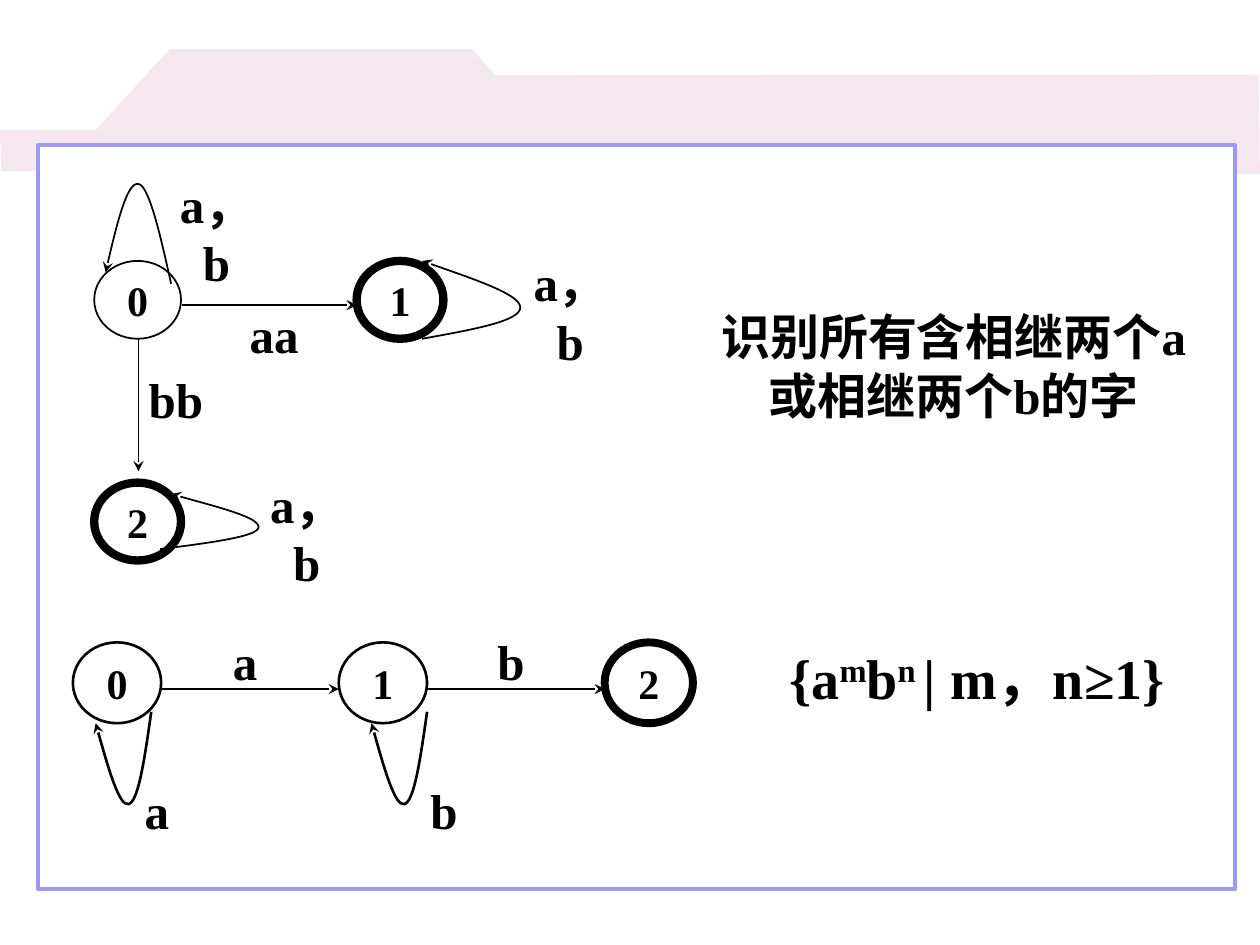
"""Build a slide with two finite automata and the languages they recognise."""
import pptx
import pptx.dml.color
import pptx.enum.shapes
import pptx.enum.text
import pptx.oxml
import pptx.oxml.ns
import pptx.util
from pptx.util import Cm, Pt

COLORS = {"folder": "F4E7ED", "frame": "9999FF", "paper": "FFFFFF", "ink": "000000"}
RGB = {name: pptx.dml.color.RGBColor.from_string(c) for name, c in COLORS.items()}
LATIN, CJK = "Times New Roman", "Noto Sans CJK SC"
SHAPE = pptx.enum.shapes.MSO_SHAPE
qn = pptx.oxml.ns.qn


def write(sp, lines, size, spacing=None):
    """Fill a shape with centred bold lines of (text, font, baseline) runs."""
    tf = sp.text_frame
    tf.word_wrap = False
    tf.vertical_anchor = pptx.enum.text.MSO_ANCHOR.MIDDLE
    for i, runs in enumerate(lines):
        p = tf.paragraphs[0] if i == 0 else tf.add_paragraph()
        p.alignment = pptx.enum.text.PP_ALIGN.CENTER
        if spacing:
            p.line_spacing = spacing
        for text, font, baseline in runs:
            r = p.add_run()
            r.text = text
            r.font.name, r.font.size, r.font.bold = font, Pt(size), True
            r.font.color.rgb = RGB["ink"]
            rPr = r._r.get_or_add_rPr()
            if baseline:
                rPr.set("baseline", str(baseline * 1000))
            ea = pptx.oxml.parse_xml(f'<a:ea {pptx.oxml.ns.nsdecls("a")} typeface="{CJK}"/>')
            rPr.append(ea)


def draw_arrow(sp, width):
    """Give a connector or curve a black line with a stealth arrowhead."""
    sp.line.width = Pt(width)
    sp.line.color.rgb = RGB["ink"]
    spPr = sp._element.spPr
    ns = pptx.oxml.ns.nsdecls("a")
    spPr.find(qn("a:ln")).append(pptx.oxml.parse_xml(f'<a:tailEnd {ns} type="stealth"/>'))
    spPr.append(pptx.oxml.parse_xml(f"<a:effectLst {ns}/>"))


prs = pptx.Presentation()
prs.slide_width, prs.slide_height = Cm(25.4), Cm(19.05)
s = prs.slides.add_slide(prs.slide_layouts[6])

folder = [(0, 2.62), (1.93, 2.62), (3.43, 0.99), (9.53, 0.99),
          (9.98, 1.52), (25.37, 1.5), (25.4, 3.51), (0.03, 3.45)]
points = [(Cm(x), Cm(y)) for x, y in folder]
fb = s.shapes.build_freeform(*points[0])
fb.add_line_segments(points[1:], close=True)
sp = fb.convert_to_shape()
sp.shadow.inherit = False
sp.fill.solid()
sp.fill.fore_color.rgb = RGB["folder"]
sp.line.fill.background()

sp = s.shapes.add_shape(SHAPE.RECTANGLE, Cm(0.76), Cm(2.92), Cm(24.13), Cm(15.01))
sp.shadow.inherit = False
sp.fill.solid()
sp.fill.fore_color.rgb = RGB["paper"]
sp.line.color.rgb = RGB["frame"]
sp.line.width = Pt(2.25)

upper, lower = (1.75, 1.57), (1.78, 1.63)
states = [("0", 1.9, 5.26, upper, 1), ("2", 1.9, 9.73, upper, 4.75),
          ("1", 7.19, 5.26, upper, 4.75)]
states += [(str(i), 1.47 + 5.36 * i, 12.95, lower, width)
           for i, width in enumerate([1.5, 1.5, 4.5])]
for name, x, y, (w, h), width in states:
    sp = s.shapes.add_shape(SHAPE.OVAL, Cm(x), Cm(y), Cm(w), Cm(h))
    sp.shadow.inherit = False
    sp.fill.background()
    sp.line.color.rgb = RGB["ink"]
    sp.line.width = Pt(width)
    write(sp, [[(name, LATIN, 0)]], 24)

moves = [(3.66, 6.15, 7.19, 6.15, 1), (2.79, 6.83, 2.79, 9.5, 1),
         (3.25, 13.89, 6.83, 13.89, 1.5), (8.61, 13.89, 12.19, 13.89, 1.5)]
for x1, y1, x2, y2, width in moves:
    sp = s.shapes.add_connector(pptx.enum.shapes.MSO_CONNECTOR.STRAIGHT,
                                Cm(x1), Cm(y1), Cm(x2), Cm(y2))
    draw_arrow(sp, width)

lower_loop = [(3.05, 14.35), (2.92, 15.27), (2.79, 16.18), (2.59, 16.21),
              (2.41, 16.26), (2.16, 15.42), (1.93, 14.58)]
loops = [
    ([(3.45, 5.72), (3.23, 4.72), (3, 3.73), (2.79, 3.71),
      (2.57, 3.66), (2.34, 4.57), (2.13, 5.49)], 1),
    ([(3.23, 11.07), (4.19, 10.95), (5.18, 10.82), (5.21, 10.64),
      (5.26, 10.44), (4.34, 10.21), (3.45, 9.96)], 1),
    ([(8.51, 6.83), (9.5, 6.65), (10.49, 6.48), (10.49, 6.2),
      (10.49, 5.94), (9.5, 5.61), (8.51, 5.26)], 1),
    (lower_loop, 1.5),
    ([(x + 5.56, y) for x, y in lower_loop], 1.5),
]
for loop, width in loops:
    points = [(Cm(x), Cm(y)) for x, y in loop]
    fb = s.shapes.build_freeform(*points[0])
    fb.add_line_segments(points[1:], close=False)
    sp = fb.convert_to_shape()
    sp.fill.background()
    draw_arrow(sp, width)
    segments = list(sp._element.iter(qn("a:lnTo")))
    outline = segments[0].getparent()
    for i in range(0, len(segments), 3):
        curve = pptx.oxml.parse_xml(f'<a:cubicBezTo {pptx.oxml.ns.nsdecls("a")}/>')
        for segment in segments[i:i + 3]:
            curve.append(segment[0])
            outline.remove(segment)
        outline.append(curve)

labels = [("a，b", 3.16, 3.91, 2.41, 1.57), ("aa", 4.32, 5.94, 2.41, 1.57),
          ("a，b", 10.29, 5.49, 2.41, 1.57), ("bb", 2.34, 7.26, 2.41, 1.57),
          ("a，b", 4.98, 9.96, 2.41, 1.57), ("a", 3.71, 12.5, 2.46, 1.63),
          ("b", 9.07, 12.5, 2.46, 1.63), ("a", 1.93, 15.52, 2.46, 1.63),
          ("b", 7.72, 15.52, 2.46, 1.63)]
for text, x, y, w, h in labels:
    sp = s.shapes.add_textbox(Cm(x), Cm(y), Cm(w), Cm(h))
    write(sp, [[(text, LATIN, 0)]], 28)

sp = s.shapes.add_textbox(Cm(14.17), Cm(5.99), Cm(10.11), Cm(2.74))
write(sp, [[("识别所有含相继两个", CJK, 0), ("a", LATIN, 0)],
           [("或相继两个", CJK, 0), ("b", LATIN, 0), ("的字", CJK, 0)]], 28, Pt(34))

sp = s.shapes.add_textbox(Cm(15.04), Cm(12.27), Cm(9.32), Cm(2.74))
write(sp, [[("{a", LATIN, 0), ("m", LATIN, 30), ("b", LATIN, 0),
            ("n ", LATIN, 30), ("| m，n≥1}", LATIN, 0)]], 32)

prs.save("out.pptx")
